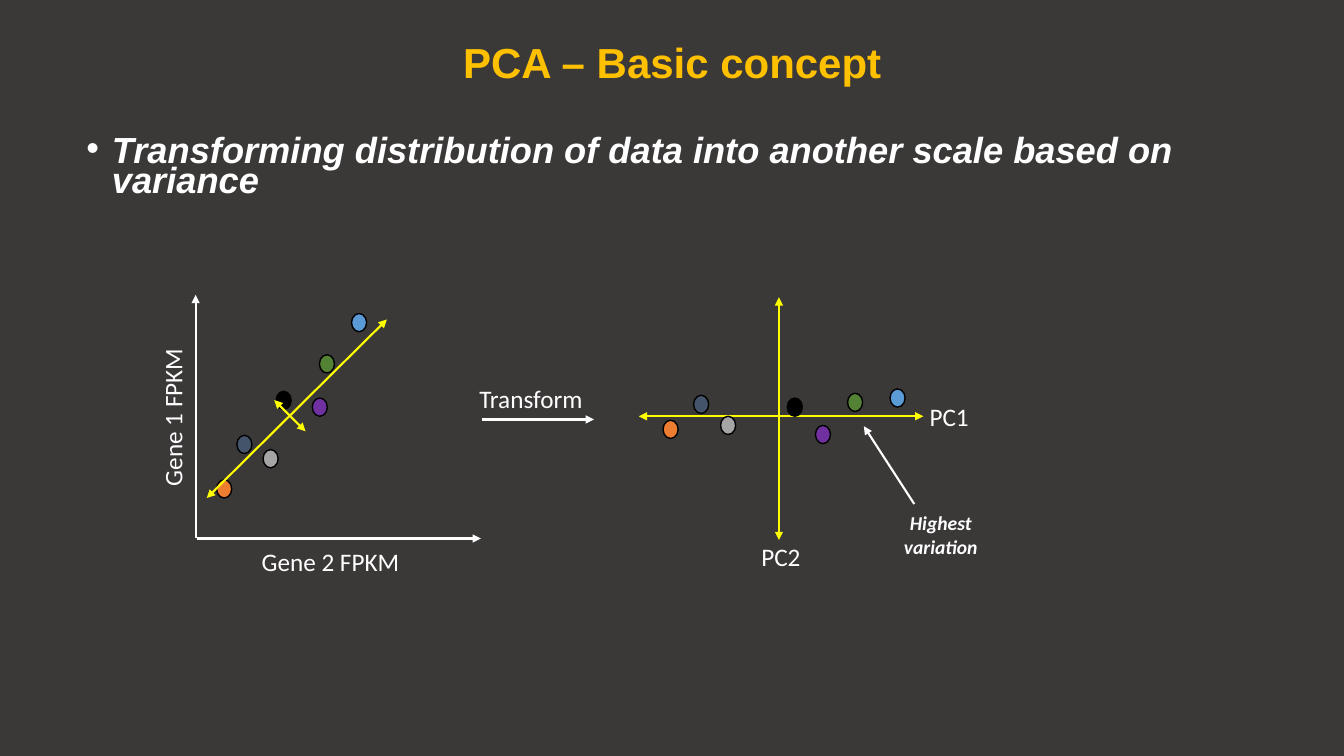
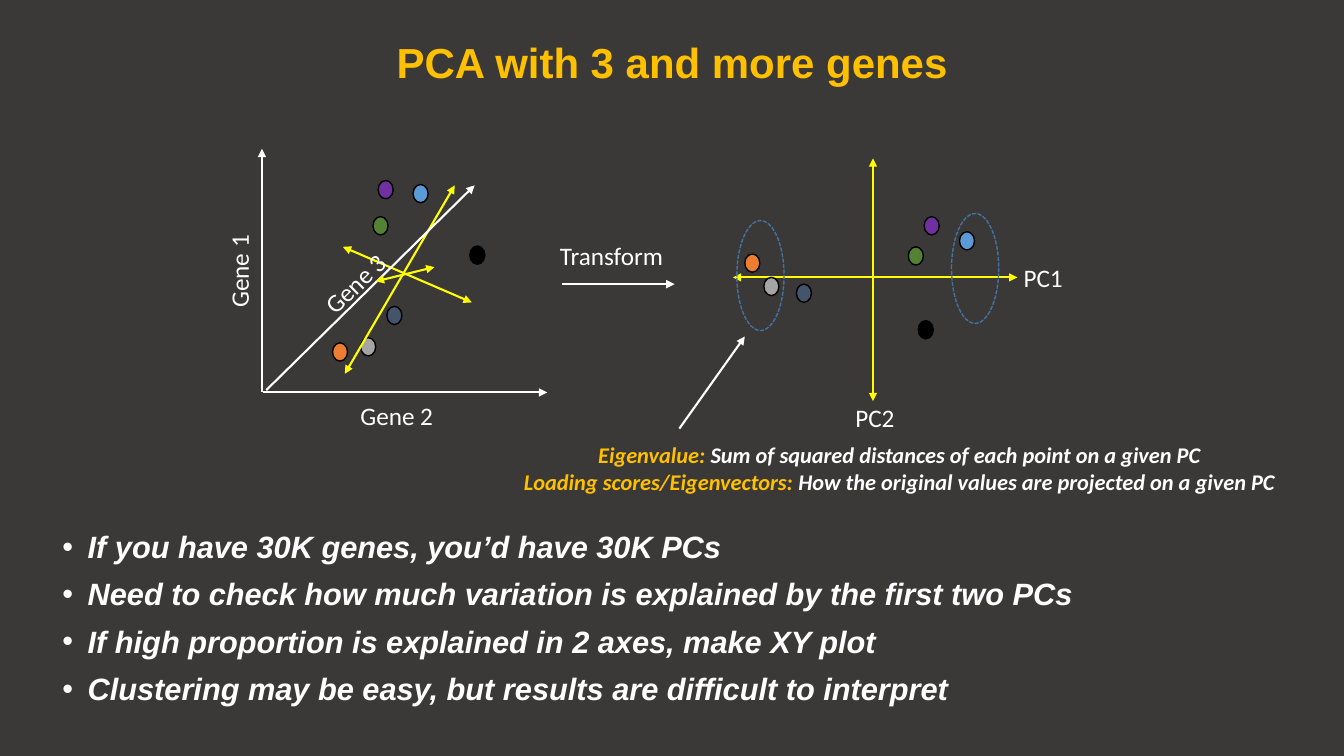
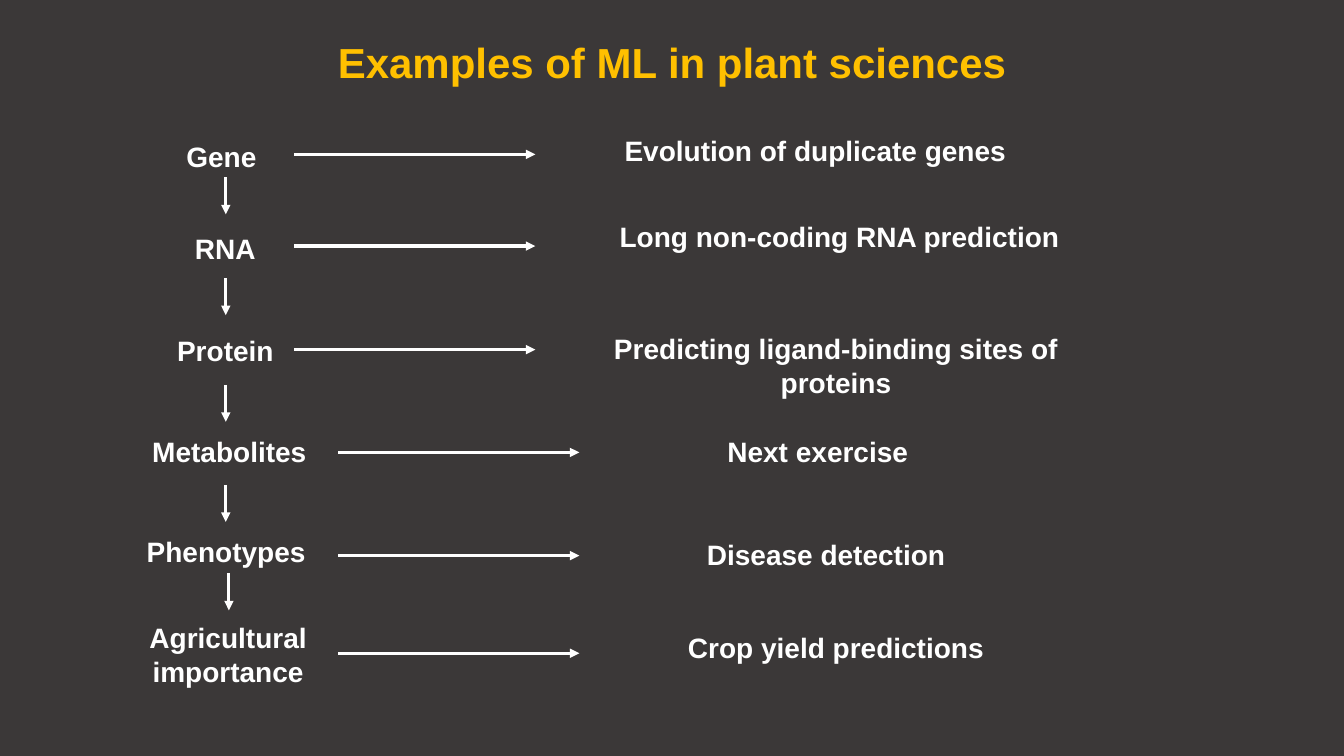
from typing import NamedTuple, Optional, Union

from lxml import etree
from pptx import Presentation
from pptx import util as u
from pptx.dml.color import RGBColor
from pptx.enum import dml, shapes, text
from pptx.oxml.ns import qn

COLORS = {
    "background": "3B3838", "gold": "FFC000", "white": "FFFFFF", "yellow": "FFFF00",
    "outline": "43739E", "slate": "44546A", "orange": "ED7D31", "grey": "A5A5A5",
    "black": "000000", "blue": "5B9BD5", "purple": "7030A0", "green": "548235",
}
HEADING_FONT, LABEL_FONT = "Arial", "Calibri"
LABEL_HEIGHT = 1.02


class Point(NamedTuple):
    x: float
    y: float


class Box(NamedTuple):
    left: float
    top: float
    width: float
    height: float


class Run(NamedTuple):
    text: str
    color: str


class Sample(NamedTuple):
    color: str
    left: float
    top: float


class Stage(NamedTuple):
    label: str
    label_center: float
    label_top: float
    example: str
    example_center: float
    example_top: float
    arrow: Point
    down_arrow: Optional[Point]


GENE_SAMPLES = [
    Sample("slate", 5.97, 10.97), Sample("orange", 5.46, 12.09), Sample("grey", 6.63, 11.33),
    Sample("black", 6.96, 9.86), Sample("blue", 8.86, 7.9), Sample("purple", 7.87, 10.03),
    Sample("green", 8.05, 8.94),
]
PC_SAMPLES = [
    Sample("blue", 22.43, 9.8), Sample("green", 21.36, 9.91), Sample("purple", 20.55, 10.72),
    Sample("black", 19.84, 10.03), Sample("grey", 18.16, 10.49), Sample("slate", 17.48, 9.96),
    Sample("orange", 16.71, 10.59),
]
THREE_GENE_SAMPLES = [
    Sample("slate", 9.75, 7.72), Sample("orange", 8.38, 8.64), Sample("grey", 9.09, 8.51),
    Sample("black", 11.84, 6.2), Sample("blue", 10.41, 4.65), Sample("purple", 9.53, 4.55),
    Sample("green", 9.4, 5.46),
]
THREE_GENE_PC_SAMPLES = [
    Sample("blue", 24.18, 5.84), Sample("purple", 23.29, 5.46), Sample("green", 22.89, 6.22),
    Sample("black", 23.14, 8.08), Sample("slate", 20.07, 7.16), Sample("orange", 18.77, 6.4),
    Sample("grey", 19.25, 6.99),
]
STAGES = [
    Stage("Gene", 5.58, 3.38, "Evolution of duplicate genes", 20.55, 3.23,
          Point(7.42, 3.89), Point(5.69, 4.47)),
    Stage("RNA", 5.68, 5.72, "Long non-coding RNA prediction", 21.16, 5.41,
          Point(7.42, 6.2), Point(5.69, 7.01)),
    Stage("Protein", 5.68, 8.28, "Predicting ligand-binding sites of proteins", 21.07, 8.23,
          Point(7.42, 8.81), Point(5.69, 9.7)),
    Stage("Metabolites", 5.78, 10.82, "Next exercise", 20.61, 10.82,
          Point(8.53, 11.4), Point(5.69, 12.22)),
    Stage("Phenotypes", 5.7, 13.34, "Disease detection", 20.82, 13.41,
          Point(8.53, 14), Point(5.77, 14.45)),
    Stage("Agricultural importance", 5.75, 15.52, "Crop yield predictions", 21.07, 15.77,
          Point(8.53, 16.46), None),
]


def rgb(name: str) -> RGBColor:
    return RGBColor.from_string(COLORS[name])


def lengths(box: Box) -> list:
    return [u.Cm(value) for value in box]


def add_bullet(paragraph) -> None:
    properties = paragraph._p.get_or_add_pPr()
    properties.set("marL", str(u.Cm(0.64)))
    properties.set("indent", str(-u.Cm(0.64)))
    etree.SubElement(properties, qn("a:buFont"), typeface="Arial")
    etree.SubElement(properties, qn("a:buChar"), char="•")


def add_text(slide, box: Box, *paragraphs: Union[str, list], size: float = 18,
             font: str = LABEL_FONT, color: str = "white", bold: bool = False,
             italic: bool = False, align=text.PP_ALIGN.CENTER,
             anchor=text.MSO_ANCHOR.TOP, spacing: float = 1, before: float = 0,
             bullets: bool = False, rotation: float = 0) -> None:
    """Add a text box; each paragraph is a string or a list of coloured runs."""
    shape = slide.shapes.add_textbox(*lengths(box))
    shape.rotation = rotation
    frame = shape.text_frame
    frame.word_wrap = True
    frame.vertical_anchor = anchor
    for index, content in enumerate(paragraphs):
        paragraph = frame.add_paragraph() if index else frame.paragraphs[0]
        if bullets:
            add_bullet(paragraph)
        paragraph.alignment = align
        paragraph.line_spacing = spacing
        if index and before:
            paragraph.space_before = u.Pt(before)
        for part in [Run(content, color)] if isinstance(content, str) else content:
            run = paragraph.add_run()
            run.text = part.text
            run.font.name = font
            run.font.size = u.Pt(size)
            run.font.bold = bold
            run.font.italic = italic
            run.font.color.rgb = rgb(part.color)


def add_arrow(slide, start: Point, end: Point, color: str = "white",
              width: float = 1.5, both_ends: bool = False) -> None:
    connector = slide.shapes.add_connector(
        shapes.MSO_CONNECTOR.STRAIGHT, *[u.Cm(value) for value in (*start, *end)])
    connector.line.color.rgb = rgb(color)
    connector.line.width = u.Pt(width)
    line = connector.line._get_or_add_ln()
    for tag in ("a:headEnd", "a:tailEnd") if both_ends else ("a:tailEnd",):
        etree.SubElement(line, qn(tag), type="triangle")
    etree.SubElement(connector._element.spPr, qn("a:effectLst"))


def add_component(slide, start: Point, end: Point) -> None:
    add_arrow(slide, start, end, color="yellow", both_ends=True)


def add_ellipse(slide, box: Box, line: str, fill: Optional[str] = None):
    shape = slide.shapes.add_shape(shapes.MSO_SHAPE.OVAL, *lengths(box))
    shape.shadow.inherit = False
    if fill:
        shape.fill.solid()
        shape.fill.fore_color.rgb = rgb(fill)
    else:
        shape.fill.background()
    shape.line.color.rgb = rgb(line)
    shape.line.width = u.Pt(1)
    return shape


def add_samples(slide, samples: list) -> None:
    for sample in samples:
        add_ellipse(slide, Box(sample.left, sample.top, 0.38, 0.46), "black", sample.color)


def add_gene_axes(slide, origin: Point, x_label: str, y_label: str) -> None:
    x, y = origin
    width = 4.5
    add_arrow(slide, origin, Point(x, y - 6.12))
    add_arrow(slide, Point(x + 0.03, y + 0.02), Point(x + 7.19, y + 0.02))
    add_text(slide, Box(x - 0.58 - width / 2, y - 3.03 - LABEL_HEIGHT / 2, width, LABEL_HEIGHT),
             y_label, rotation=270)
    add_text(slide, Box(x + 3.4 - width / 2, y + 0.09, width, LABEL_HEIGHT), x_label)


def add_pc_axes(slide, center: Point) -> None:
    x, y = center
    add_component(slide, Point(x - 3.53, y), Point(x + 3.64, y))
    add_component(slide, Point(x, y + 3.12), Point(x, y - 3))
    add_text(slide, Box(x - 0.89, y + 3.02, 1.88, LABEL_HEIGHT), "PC2")
    add_text(slide, Box(x + 3.35, y - 0.51, 1.88, LABEL_HEIGHT), "PC1")


def add_transform(slide, start: Point, label_rise: float) -> None:
    x, y = start
    add_arrow(slide, start, Point(x + 2.83, y))
    add_text(slide, Box(x - 0.35, y - label_rise, 3.18, LABEL_HEIGHT), "Transform")


def add_body(slide, box: Box, *paragraphs: str, size: float, spacing: float) -> None:
    add_text(slide, box, *paragraphs, size=size, spacing=spacing, before=10, bullets=True,
             font=HEADING_FONT, bold=True, italic=True, align=text.PP_ALIGN.LEFT)


def new_slide(presentation, title: str):
    slide = presentation.slides.add_slide(presentation.slide_layouts[6])
    slide.background.fill.solid()
    slide.background.fill.fore_color.rgb = rgb("background")
    add_text(slide, Box(2.34, 0.84, 29.21, 1.57), title, size=30, font=HEADING_FONT,
             color="gold", bold=True, anchor=text.MSO_ANCHOR.MIDDLE, spacing=0.9)
    return slide


def build_concept(presentation) -> None:
    slide = new_slide(presentation, "PCA – Basic concept")
    add_body(slide, Box(1.93, 3.38, 30, 1.8),
             "Transforming distribution of data into another scale based on variance",
             size=25.9, spacing=0.7)
    add_gene_axes(slide, Point(4.93, 13.55), "Gene 2 FPKM", "Gene 1 FPKM")
    add_samples(slide, GENE_SAMPLES)
    add_component(slide, Point(5.21, 12.55), Point(9.75, 8.05))
    add_component(slide, Point(7.7, 10.87), Point(6.91, 10.08))
    add_transform(slide, Point(12.14, 10.57), label_rise=1.04)
    add_pc_axes(slide, Point(19.63, 10.49))
    add_samples(slide, PC_SAMPLES)
    add_text(slide, Box(22.12, 12.75, 3.18, 1.45), "Highest variation",
             size=14, bold=True, italic=True)
    add_arrow(slide, Point(23.04, 12.7), Point(21.77, 10.74))


def build_more_genes(presentation) -> None:
    slide = new_slide(presentation, "PCA with 3 and more genes")
    add_gene_axes(slide, Point(6.6, 9.87), "Gene 2", "Gene 1")
    add_samples(slide, THREE_GENE_SAMPLES)
    add_component(slide, Point(8.69, 9.42), Point(11.46, 4.67))
    add_component(slide, Point(11.89, 7.62), Point(8.64, 6.22))
    add_arrow(slide, Point(6.71, 9.83), Point(11.96, 4.67))
    add_text(slide, Box(7.47, 6.63, 2.95, LABEL_HEIGHT), "Gene 3", rotation=315.9)
    add_component(slide, Point(10.95, 6.73), Point(9.47, 7.09))
    add_transform(slide, Point(14.17, 7.16), label_rise=1.24)
    add_pc_axes(slide, Point(22, 6.99))
    add_samples(slide, THREE_GENE_PC_SAMPLES)
    for left, top in (Point(18.57, 5.56), Point(23.98, 5.38)):
        cluster = add_ellipse(slide, Box(left, top, 1.19, 2.77), "outline")
        cluster.line.dash_style = dml.MSO_LINE.SQUARE_DOT
    add_text(slide, Box(12.75, 11, 19.84, 1.63),
             [Run("Eigenvalue:", "gold"),
              Run(" Sum of squared distances of each point on a given PC", "white")],
             [Run("Loading scores/Eigenvectors: ", "gold"),
              Run("How the original values are projected on a given PC", "white")],
             size=16, bold=True, italic=True)
    add_arrow(slide, Point(17.12, 10.8), Point(18.77, 8.48))
    add_body(slide, Box(1.32, 13.28, 28.58, 5.05),
             "If you have 30K genes, you’d have 30K PCs",
             "Need to check how much variation is explained by the first two PCs",
             "If high proportion is explained in 2 axes, make XY plot",
             "Clustering may be easy, but results are difficult to interpret",
             size=22, spacing=0.9)


def build_examples(presentation) -> None:
    slide = new_slide(presentation, "Examples of ML in plant sciences")
    for stage in STAGES:
        for content, center, top, width in (
            (stage.label, stage.label_center, stage.label_top, 4.9),
            (stage.example, stage.example_center, stage.example_top, 14.6),
        ):
            add_text(slide, Box(center - width / 2, top, width, 1.11), content,
                     size=20, font=HEADING_FONT, bold=True)
        x, y = stage.arrow
        add_arrow(slide, stage.arrow, Point(x + 6.07, y), width=2.25)
        if stage.down_arrow:
            x, y = stage.down_arrow
            add_arrow(slide, stage.down_arrow, Point(x, y + 0.93), width=2.25)


def main() -> None:
    presentation = Presentation()
    presentation.slide_width, presentation.slide_height = u.Cm(33.87), u.Cm(19.05)
    build_concept(presentation)
    build_more_genes(presentation)
    build_examples(presentation)
    presentation.save("out.pptx")


if __name__ == "__main__":
    main()
